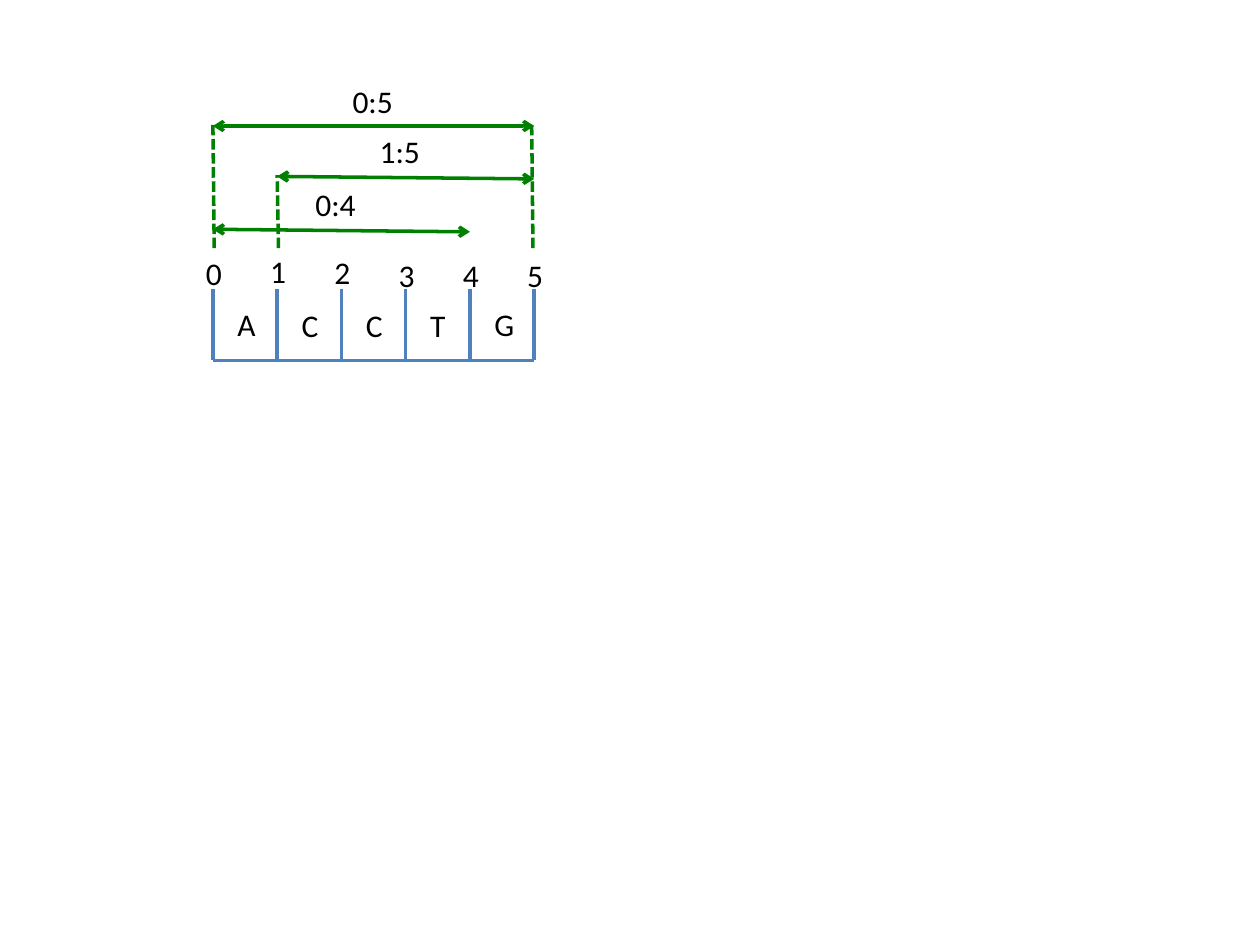
"""Build a slide that shows slices of a short DNA sequence."""
from lxml import etree
from pptx import Presentation
from pptx.dml.color import RGBColor
from pptx.enum.dml import MSO_LINE
from pptx.enum.shapes import MSO_CONNECTOR
from pptx.enum.text import MSO_AUTO_SIZE, PP_ALIGN
from pptx.oxml.ns import qn
from pptx.util import Inches, Pt

STRAIGHT = MSO_CONNECTOR.STRAIGHT
DASH = MSO_LINE.SQUARE_DOT
FIT = MSO_AUTO_SIZE.SHAPE_TO_FIT_TEXT
LEFT = PP_ALIGN.LEFT
COLORS = {"grid": "4F81BD", "span": "008000", "text": "000000"}

BASES = [("A", 2.37), ("C", 2.38), ("C", 2.38), ("T", 2.38), ("G", 2.37)]
MARK_TOPS = [1.97, 1.95, 1.96, 1.98, 1.98, 1.98]
# Each span: start mark, end mark, left height, right height, label shift
SPANS = [(0, 4, 1.82, 1.84, -0.04), (1, 5, 1.40, 1.42, -0.04), (0, 5, 1.00, 1.00, 0)]
DROPS = [(0, 0.99), (1, 1.39), (5, 0.99)]
X0, STEP = 1.69, 0.51
FLOOR, WALL, FOOT = 2.86, 0.57, 1.97
ROW = 0.40

deck = Presentation()
deck.slide_width, deck.slide_height = Inches(10), Inches(7.5)
slide = deck.slides.add_slide(deck.slide_layouts[6])


def mark(pos):
    """Return the x of a mark between bases."""
    return X0 + STEP * pos


def write(text, mid, top, width=0.34, size=18, font="Calibri", color="text"):
    """Add a one-line label centred on mid."""
    box = slide.shapes.add_textbox(
        Inches(mid - width / 2), Inches(top), Inches(width), Inches(ROW))
    frame = box.text_frame
    frame.word_wrap, frame.auto_size = False, FIT
    para = frame.paragraphs[0]
    para.alignment = LEFT
    run = para.add_run()
    run.text = text
    run.font.size, run.font.name = Pt(size), font
    run.font.color.rgb = RGBColor.from_string(COLORS[color])


def draw(start, end, color, dash=None, arrows=False):
    """Add a straight line, dashed or with two arrowheads."""
    link = slide.shapes.add_connector(STRAIGHT, *map(Inches, start + end))
    link.line.width = Pt(2)
    link.line.color.rgb = RGBColor.from_string(COLORS[color])
    if dash:
        link.line.dash_style = dash
    if arrows:
        for tag in ("a:headEnd", "a:tailEnd"):
            etree.SubElement(link.line._get_or_add_ln(), qn(tag), type="arrow")
    etree.SubElement(link._element.spPr, qn("a:effectLst"))


draw((mark(0), FLOOR), (mark(5), FLOOR), "grid")
for pos, top in enumerate(MARK_TOPS):
    draw((mark(pos), FLOOR), (mark(pos), FLOOR - WALL), "grid")
    write(str(pos), mark(pos) + 0.01, top, width=0.33)
for pos, (base, top) in enumerate(BASES):
    write(base, mark(pos + 0.5) + 0.01, top)
for start, end, left, right, shift in SPANS:
    draw((mark(start), left), (mark(end), right), "span", arrows=True)
    write(f"{start}:{end}", mark((start + end) / 2) + shift, left - ROW, width=0.53)
for pos, top in DROPS:
    x = mark(pos) - (0.02 if pos == 5 else 0)
    draw((x + 0.01, FOOT), (x, top), "span", dash=DASH)

deck.save("out.pptx")
